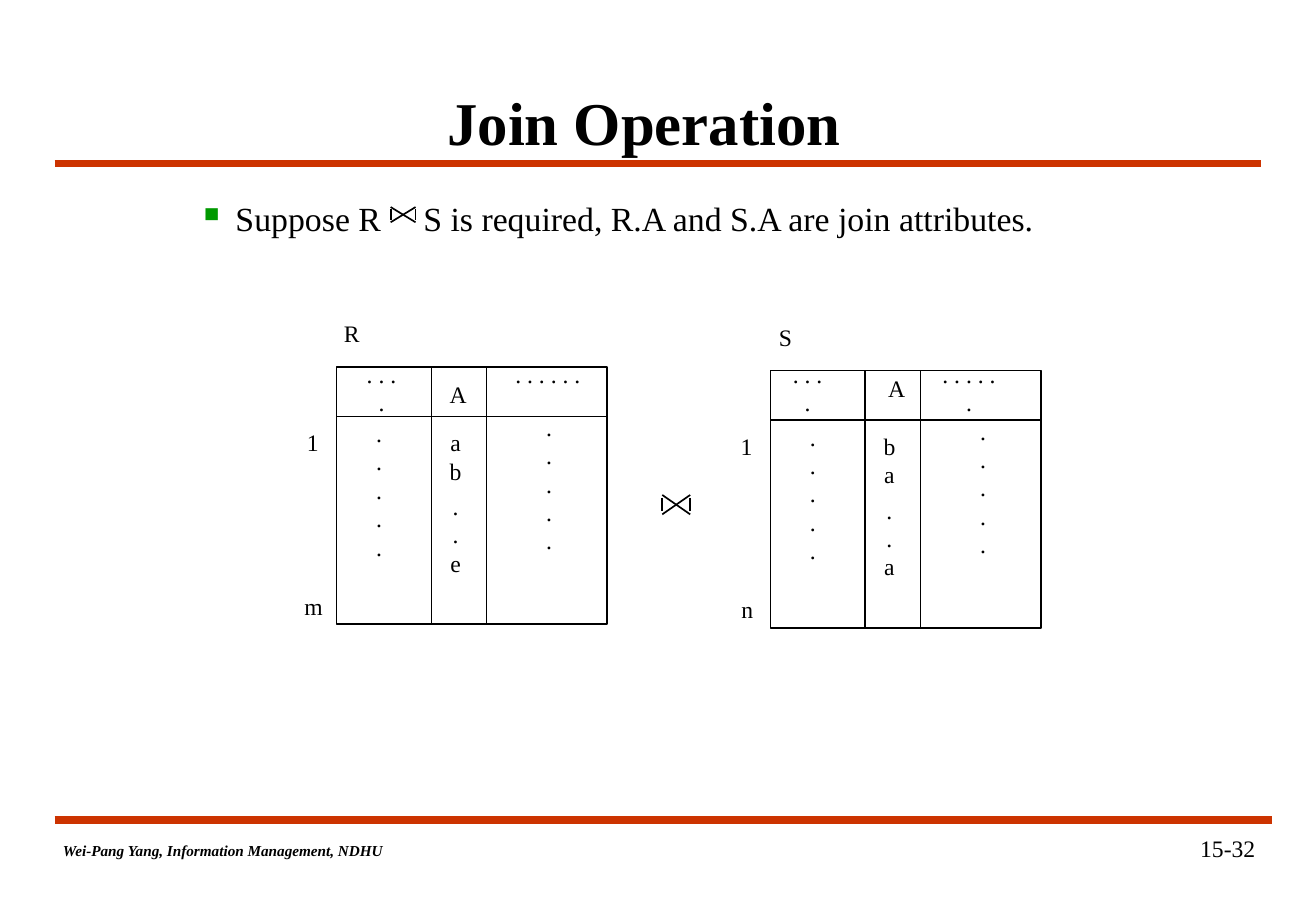
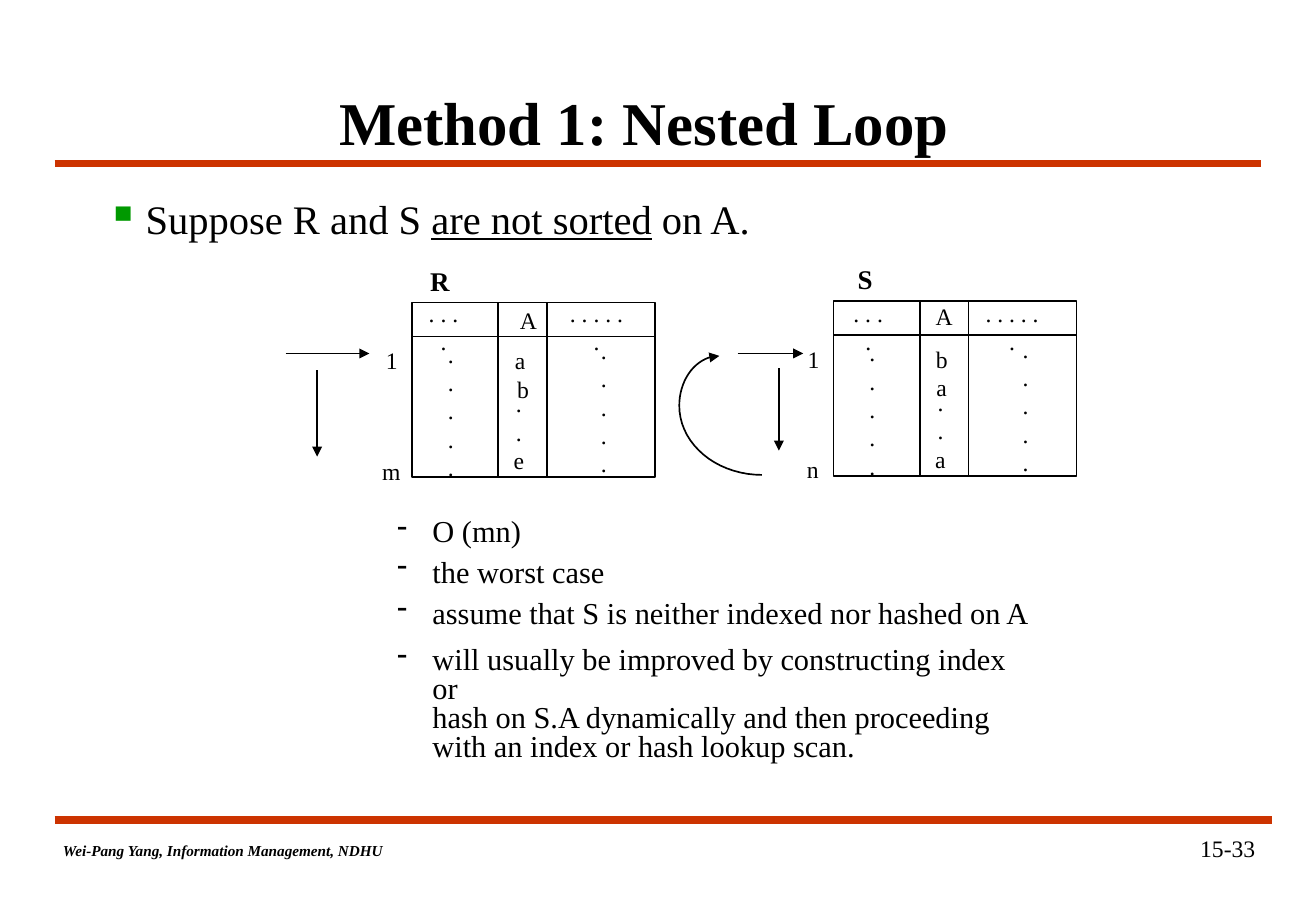
import math

import pptx
import pptx.dml.color
import pptx.enum.shapes
import pptx.enum.text
import pptx.oxml
import pptx.oxml.ns
import pptx.util

ALIGN = pptx.enum.text.PP_ALIGN
ANCHOR = pptx.enum.text.MSO_ANCHOR


def color(code):
    return pptx.dml.color.RGBColor.from_string(code)


def add_xml(parent, tag, **attributes):
    child = pptx.oxml.parse_xml(f"<a:{tag} {pptx.oxml.ns.nsdecls('a')}/>")
    for key, value in attributes.items():
        child.set(key, str(value))
    parent.append(child)
    return child


class Deck:
    FONT = "Times New Roman"
    INK, PAPER, RULE, MARK = "000000", "FFFFFF", "CC3300", "009900"
    ROWS = 75

    def __init__(self):
        self.deck = pptx.Presentation()
        self.deck.slide_width = pptx.util.Inches(10.83)
        self.deck.slide_height = pptx.util.Inches(7.5)
        self.cell = self.deck.slide_height / self.ROWS
        self.slide = None

    def grid(self, *cells):
        return [round(n * self.cell) for n in cells]

    def page(self, title, number):
        self.slide = self.deck.slides.add_slide(self.deck.slide_layouts[6])
        self.line(4.5, 13.45, 103.8, 13.45, self.RULE, 4.5)
        self.line(4.5, 67.5, 104.7, 67.5, self.RULE, 4.5)
        footer = self.text(4.2, 68.8, 32.3, 2.5)
        self.run(footer.paragraphs[0], "Wei-Pang Yang, Information Management, NDHU",
                 9, bold=True, italic=True)
        heading = self.text(8.3, 5.8, 89.4, 8.3, ALIGN.CENTER)
        heading.vertical_anchor = ANCHOR.MIDDLE
        self.run(heading.paragraphs[0], title, 36, bold=True)
        page_number = self.text(81.7, 68.2, 22.6, 5, ALIGN.RIGHT)
        self.run(page_number.paragraphs[0], number, 14)

    def text(self, left, top, width, height, align=ALIGN.LEFT):
        frame = self.slide.shapes.add_textbox(*self.grid(left, top, width, height)).text_frame
        frame.word_wrap = True
        frame.paragraphs[0].alignment = align
        return frame

    def run(self, paragraph, words, size, **style):
        run = paragraph.add_run()
        run.text = words
        run.font.name = self.FONT
        run.font.size = pptx.util.Pt(size)
        run.font.color.rgb = color(self.INK)
        for key, value in style.items():
            setattr(run.font, key, value)
        return run

    def widen(self, run, points):
        run.font._element.set("spc", str(round(points * 100)))

    def bullet(self, paragraph, mark, margin, hang, tint=None, percent=100):
        properties = paragraph._p.get_or_add_pPr()
        margin, hang = self.grid(margin, hang)
        properties.set("marL", str(margin))
        properties.set("indent", str(-hang))
        if tint:
            add_xml(add_xml(properties, "buClr"), "srgbClr", val=tint)
        add_xml(properties, "buSzPct", val=percent * 1000)
        add_xml(properties, "buChar", char=mark)

    def square_bullet(self, paragraph, margin, hang):
        self.bullet(paragraph, "▪", margin, hang, self.MARK, 110)

    def label(self, center, top, words, width=9, size=14, **style):
        lines = words.split("\n")
        frame = self.text(center - width / 2, top, width, 1 + 2.3 * len(lines), ALIGN.CENTER)
        for index, line in enumerate(lines):
            paragraph = frame.add_paragraph() if index else frame.paragraphs[0]
            paragraph.alignment = ALIGN.CENTER
            self.run(paragraph, line, size, **style)

    def line(self, x1, y1, x2, y2, ink=INK, weight=1, arrow=False):
        line = self.slide.shapes.add_connector(
            pptx.enum.shapes.MSO_CONNECTOR.STRAIGHT, *self.grid(x1, y1, x2, y2))
        line.line.color.rgb = color(ink)
        line.line.width = pptx.util.Pt(weight)
        if arrow:
            add_xml(line.line._get_or_add_ln(), "tailEnd", type="triangle")
        add_xml(line._element.spPr, "effectLst")

    def bowtie(self, left, top, width, height):
        right, bottom = left + width, top + height
        for side in (left, right):
            self.line(side, top + 0.15 * height, side, bottom - 0.15 * height)
        self.line(left, bottom, right, top)
        self.line(right, bottom, left, top)

    def curve(self, points):
        points = [self.grid(*point) for point in points]
        builder = self.slide.shapes.build_freeform(*points[0])
        builder.add_line_segments(points[1:], close=False)
        curve = builder.convert_to_shape()
        curve.shadow.inherit = False
        curve.fill.background()
        curve.line.color.rgb = color(self.INK)
        curve.line.width = pptx.util.Pt(1)
        add_xml(curve.line._get_or_add_ln(), "tailEnd", type="triangle")

    def relation(self, left, top, size, header, columns, labels):
        width, height = size
        box = self.slide.shapes.add_shape(
            pptx.enum.shapes.MSO_SHAPE.RECTANGLE, *self.grid(left, top, width, height))
        box.shadow.inherit = False
        box.fill.solid()
        box.fill.fore_color.rgb = color(self.PAPER)
        box.line.color.rgb = color(self.INK)
        box.line.width = pptx.util.Pt(1)
        self.line(left, top + header, left + width, top + header)
        for column in columns:
            self.line(left + column, top, left + column, top + height)
        for x, y, *words in labels:
            self.label(left + x, top + y, *words)

    def save(self):
        self.deck.save("out.pptx")


FOUR_DOTS, SIX_DOTS = ". . . .", ". . . . . ."
FOUR_WIDTH, SIX_WIDTH = 4.9, 6.85
DOT_COLUMN = "\n".join("." * 5)


def join_operation(deck):
    deck.page("Join Operation", "15-32")
    statement = deck.text(10.3, 15.8, 84.7, 5).paragraphs[0]
    deck.square_bullet(statement, 8.1, 3.1)
    deck.run(statement, "Suppose R", 20)
    deck.widen(deck.run(statement, " ", 20), 20)
    deck.run(statement, "S is required, R.A and S.A are join attributes.", 20)
    deck.bowtie(32.15, 17.05, 2.05, 1.25)

    relations = [
        (27.7, 30.2, "R", "m", "a\nb", ".\n.\ne",
         [(10, 0.6, "A"), (3.7, -1.1, FOUR_DOTS, FOUR_WIDTH), (17.4, -1.1, SIX_DOTS)]),
        (63.4, 30.5, "S", "n", "b\na", ".\n.\na",
         [(10.4, -0.2, "A"), (3.06, -1.4, FOUR_DOTS, FOUR_WIDTH),
          (16.35, -1.4, SIX_DOTS, SIX_WIDTH)]),
    ]
    for left, top, name, last, first_values, last_values, header in relations:
        deck.relation(left, top, (22.25, 21.2), 4.1, (7.8, 12.35), header + [
            (1.25, -4.4, name),
            (9.8, 4.55, first_values),
            (9.8, 9.8, last_values),
            (-1.95, 4.55, "1"),
            (-1.9, 18, last),
            (3.5, 3.8, DOT_COLUMN),
            (17.5, 3.3, DOT_COLUMN),
        ])
    deck.bowtie(54.5, 40.75, 2.3, 1.6)


def nested_loop(deck):
    deck.page("Method 1: Nested Loop", "15-33")
    relations = [
        (33.9, 24.9, "m", "a\n b", ".\n.\ne",
         [(9.6, -0.2, "A"), (2.6, -0.8, FOUR_DOTS, FOUR_WIDTH),
          (15.2, -0.8, SIX_DOTS, SIX_WIDTH)]),
        (68.6, 24.8, "n", "b\na", ".\n.\na",
         [(9.1, -0.4, "A"), (2.85, -0.7, FOUR_DOTS, FOUR_WIDTH),
          (14.7, -0.7, SIX_DOTS, SIX_WIDTH)]),
    ]
    for left, top, last, first_values, last_values, header in relations:
        deck.relation(left, top, (20, 14.4), 2.8, (7.1, 11.1), header + [
            (8.9, 3.1, first_values),
            (8.8, 6.65, last_values),
            (-1.65, 3.1, "1"),
            (-1.7, 12.2, last),
            (3.2, 2.55, DOT_COLUMN),
            (15.8, 2.25, DOT_COLUMN),
        ])
    deck.label(36.2, 21.3, "R", 5, 16, bold=True)
    deck.label(71.2, 21.1, "S", 5, 16, bold=True)

    for scan in [(23.5, 29.1, 30.4, 29.1), (26.1, 30.5, 26.1, 37.6),
                 (60.7, 29.1, 66.1, 29.1), (64.1, 30.3, 64.1, 37.1)]:
        deck.line(*scan, arrow=True)
    steps = [math.radians(angle) for angle in range(0, 91, 5)]
    rescan = [(62.7 - 6.8 * math.sin(a), 33.4 + 5.7 * math.cos(a)) for a in steps]
    rescan += [(59.2 - 3.3 * math.cos(a), 33.4 - 4.1 * math.sin(a)) for a in steps[1:]]
    deck.curve(rescan)

    remarks = deck.text(31.7, 41.7, 54.2, 19.6)
    costs = [
        ("O (mn)", 1),
        ("the worst case", 0.6),
        ("assume that S is neither indexed nor hashed on A", 0.7),
        ("will usually be improved by constructing index or\n"
         "hash on S.A dynamically and then proceeding\n"
         "with an index or hash lookup scan.", 0.8),
    ]
    for index, (words, spacing) in enumerate(costs):
        remark = remarks.add_paragraph() if index else remarks.paragraphs[0]
        deck.bullet(remark, "-", 2.9, 2.9)
        remark.line_spacing = spacing
        if index:
            remark.space_before = pptx.util.Pt(10)
        for row, part in enumerate(words.split("\n")):
            if row:
                remark.add_line_break()
            deck.run(remark, part, 18)

    statement = deck.text(5.3, 15.5, 75.1, 5).paragraphs[0]
    deck.square_bullet(statement, 5.7, 3.2)
    deck.run(statement, "Suppose R and S ", 24)
    deck.run(statement, "are not sorted", 24, underline=True)
    deck.run(statement, " on A.", 24)


def main():
    deck = Deck()
    join_operation(deck)
    nested_loop(deck)
    deck.save()


if __name__ == "__main__":
    main()
